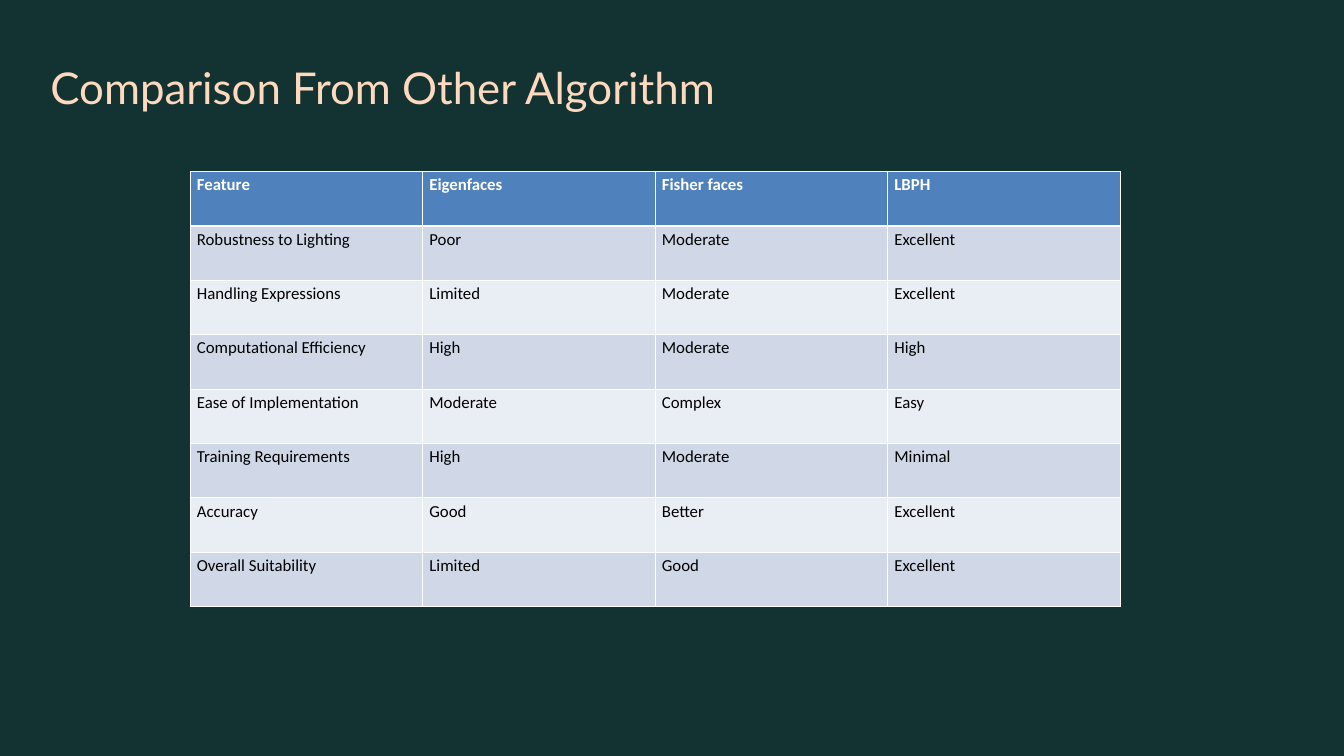
from lxml import etree
from pptx import Presentation, util as u
from pptx.dml.color import RGBColor
from pptx.enum import shapes, text
from pptx.oxml.ns import qn

HUES = {
    "back": "123332", "title": "FFD9BE", "head": "4F81BD", "odd": "D0D8E8",
    "even": "E9EDF4", "line": "FFFFFF", "light": "FFFFFF", "dark": "000000",
}
TITLE = {"name": "Lato", "size": u.Pt(46.9), "bold": False}
HEAD = {"name": "Calibri", "size": u.Pt(18), "bold": True}
BODY = {**HEAD, "bold": False}

ROWS = [
    ["Feature", "Eigenfaces", "Fisher faces", "LBPH"],
    ["Robustness to Lighting", "Poor", "Moderate", "Excellent"],
    ["Handling Expressions", "Limited", "Moderate", "Excellent"],
    ["Computational Efficiency", "High", "Moderate", "High"],
    ["Ease of Implementation", "Moderate", "Complex", "Easy"],
    ["Training Requirements", "High", "Moderate", "Minimal"],
    ["Accuracy", "Good", "Better", "Excellent"],
    ["Overall Suitability", "Limited", "Good", "Excellent"],
]


class Deck:
    def __init__(self, wide, high):
        self.prs = Presentation()
        self.prs.slide_width = u.Inches(wide)
        self.prs.slide_height = u.Inches(high)
        self.slide = self.prs.slides.add_slide(self.prs.slide_layouts[6])

    def hue(self, name):
        return RGBColor.from_string(HUES[name])

    def paint(self, fill, name):
        fill.solid()
        fill.fore_color.rgb = self.hue(name)

    def label(self, frame, words, style, hue):
        """Put styled words in the frame and return their paragraph."""
        para = frame.paragraphs[0]
        run = para.add_run()
        run.text = words
        for key, val in style.items():
            setattr(run.font, key, val)
        run.font.color.rgb = self.hue(hue)
        return para

    def panel(self, box, hue):
        shape = self.slide.shapes.add_shape(
            shapes.MSO_SHAPE.RECTANGLE, *map(u.Inches, box))
        shape.shadow.inherit = False
        self.paint(shape.fill, hue)
        shape.line.fill.background()

    def title(self, box, words):
        frame = self.slide.shapes.add_textbox(*map(u.Inches, box)).text_frame
        frame.word_wrap = True
        frame.auto_size = text.MSO_AUTO_SIZE.SHAPE_TO_FIT_TEXT
        for side in ("left", "top", "right", "bottom"):
            setattr(frame, f"margin_{side}", 0)
        para = self.label(frame, words, TITLE, "title")
        para.line_spacing = u.Pt(58.1)

    def border(self, cell, widths):
        """Draw the cell's sides; widths maps L, R, T, B to points."""
        props = cell._tc.get_or_add_tcPr()
        for side, width in widths.items():
            line = etree.SubElement(props, qn(f"a:ln{side}"), w=str(u.Pt(width)))
            fill = etree.SubElement(line, qn("a:solidFill"))
            etree.SubElement(fill, qn("a:srgbClr"), val=HUES["line"])

    def table(self, left, top, wide, high, rows):
        """Add a grid of equal cells, each wide by high inches."""
        count, span = len(rows), len(rows[0])
        grid = self.slide.shapes.add_table(
            count, span, u.Inches(left), u.Inches(top),
            u.Inches(wide * span), u.Inches(high * count)).table
        for col in grid.columns:
            col.width = u.Inches(wide)
        for i, row in enumerate(rows):
            grid.rows[i].height = u.Inches(high)
            style, ink = (BODY, "dark") if i else (HEAD, "light")
            band = ("odd" if i % 2 else "even") if i else "head"
            rule = {"L": 1, "R": 1, "T": 3 if i == 1 else 1, "B": 1 if i else 3}
            for j, words in enumerate(row):
                cell = grid.cell(i, j)
                self.border(cell, rule)
                self.paint(cell.fill, band)
                self.label(cell.text_frame, words, style, ink)


def main():
    deck = Deck(20, 11.25)
    deck.panel((0, 0, 20, 11.25), "back")
    deck.title((0.75, 0.88, 10.56, 0.8), "Comparison From Other Algorithm")
    deck.table(2.83, 2.55, 3.46, 0.81, ROWS)
    deck.prs.save("out.pptx")


if __name__ == "__main__":
    main()
